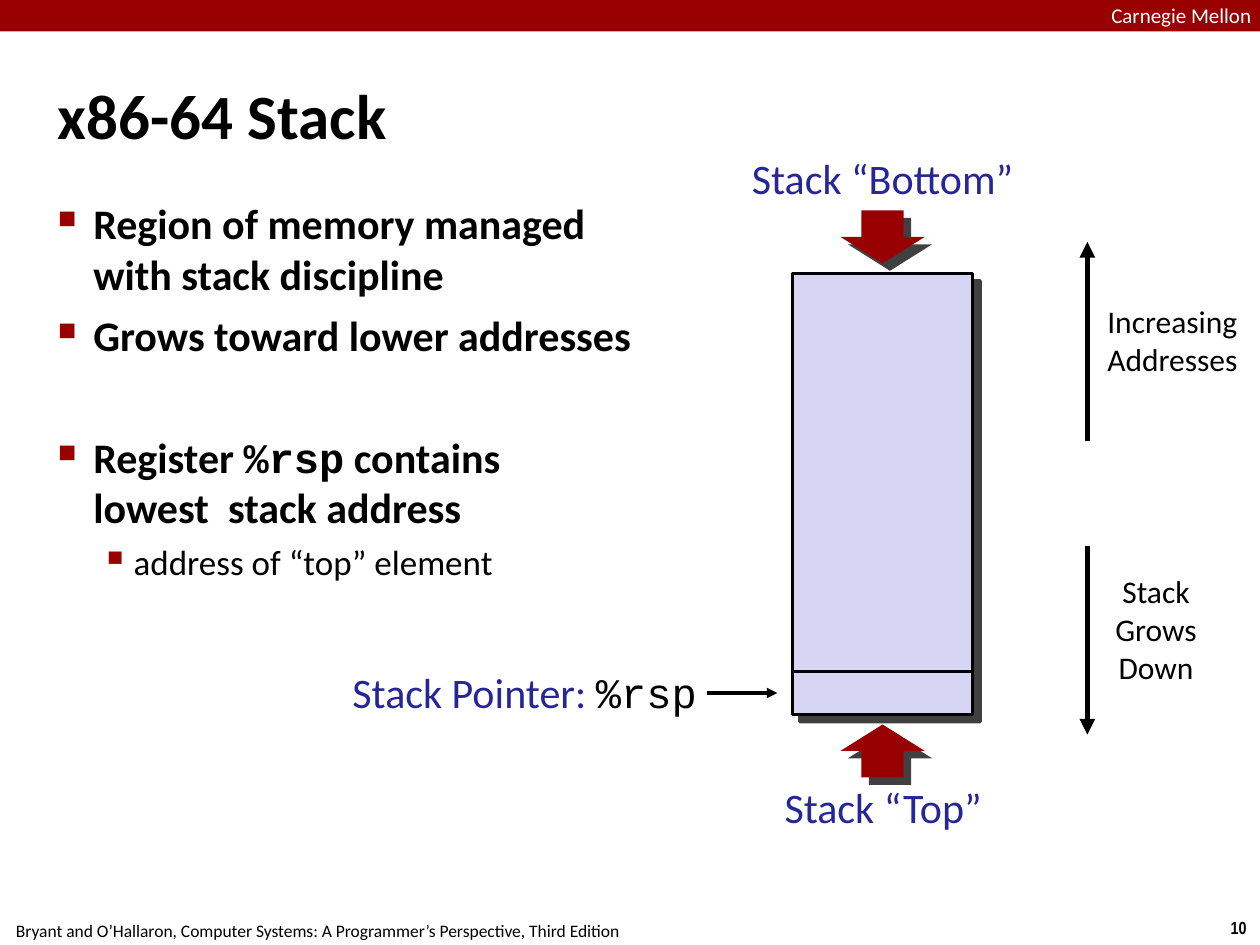
"""Build the x86-64 stack slide: bullets beside a diagram of the stack."""
from lxml import etree
from pptx import Presentation
from pptx import util as u
from pptx.dml import color as dml
from pptx.enum import shapes, text
from pptx.oxml import ns

COLORS = {"red": "990000", "arrow": "980002", "blue": "262699", "lilac": "D6D6F4",
          "black": "000000", "white": "FFFFFF"}
RGB = {name: dml.RGBColor.from_string(value) for name, value in COLORS.items()}
LEFT, CENTER, RIGHT = text.PP_ALIGN.LEFT, text.PP_ALIGN.CENTER, text.PP_ALIGN.RIGHT
MONO = "Courier New"
SHADOW = (f'<a:effectLst {ns.nsdecls("a")}><a:outerShdw dist="76200" dir="2700000" '
          f'algn="ctr" rotWithShape="0"><a:srgbClr val="{COLORS["black"]}">'
          '<a:alpha val="75000"/></a:srgbClr></a:outerShdw></a:effectLst>')

presentation = Presentation()
presentation.slide_width, presentation.slide_height = u.Inches(10), u.Inches(7.5)
slide = presentation.slides.add_slide(presentation.slide_layouts[6])


def add_text(place, paragraphs, size, align=LEFT, color="black", font="Calibri",
             bold=False, wrap=False, inset=0.04):
    """Add a text box; each paragraph is a list of runs (words, font, color)."""
    box = slide.shapes.add_textbox(*map(u.Inches, place))
    frame = box.text_frame
    frame.word_wrap = wrap
    frame.margin_left = frame.margin_right = u.Inches(inset)
    frame.margin_top = frame.margin_bottom = u.Inches(inset)
    for index, runs in enumerate(paragraphs):
        paragraph = frame.add_paragraph() if index else frame.paragraphs[0]
        paragraph.alignment = align
        for words, *style in runs:
            run_font, run_color = style or (font, color)
            for part, line in enumerate(words.split("\n")):
                if part:
                    paragraph.add_line_break()
                run = paragraph.add_run()
                run.text = line
                run.font.name, run.font.size, run.font.bold = run_font, u.Pt(size), bold
                run.font.color.rgb = RGB[run_color]
    return box


def add_block(kind, place, fill):
    """Add a preset shape without an outline."""
    shape = slide.shapes.add_shape(kind, *map(u.Inches, place))
    shape.shadow.inherit = False
    shape.fill.solid()
    shape.fill.fore_color.rgb = RGB[fill]
    shape.line.fill.background()
    return shape


add_text((9.66, 7.23, 0.34, 0.27), [[("10",)]], 10, CENTER, font="Arial Narrow",
         bold=True, inset=0.05)
add_text((-0.02, 7.25, 5.08, 0.27), [[(
    "Bryant and O’Hallaron, Computer Systems: A Programmer’s Perspective, Third Edition",)]],
    10, CENTER, inset=0.05)
add_block(shapes.MSO_SHAPE.RECTANGLE, (0, 0, 10, 0.25), "red")
add_text((8.82, 0.02, 1.44, 0.19), [[("Carnegie Mellon",)]], 12, color="white",
         wrap=True, inset=0)
title = add_text((0.42, 0.28, 9.17, 1.25), [[("x86-64 Stack",)]], 36, bold=True, wrap=True)
title.text_frame.vertical_anchor = text.MSO_ANCHOR.MIDDLE

body = add_text((0.42, 1.53, 4.88, 5.94), [
    [("Region of memory managed with stack discipline",)],
    [("Grows toward lower addresses",)],
    [("Register ",), ("%rsp", MONO, "black"), (" contains \nlowest  stack address",)],
    [("address of “top” element",)],
], 24, bold=True, wrap=True)
bullets = [(0, 0.28, 0.28, "■", 60), (6, 0.28, 0.28, "■", 60),
           (41, 0.28, 0.28, "■", 60), (5, 0.6, 0.26, "▪", 110)]
for paragraph, (before, margin, hang, mark, percent) in zip(body.text_frame.paragraphs, bullets):
    properties = paragraph._p.get_or_add_pPr()
    properties.set("marL", str(u.Inches(margin)))
    properties.set("indent", str(-u.Inches(hang)))
    bullet_color = etree.SubElement(properties, ns.qn("a:buClr"))
    etree.SubElement(bullet_color, ns.qn("a:srgbClr"), val=COLORS["red"])
    etree.SubElement(properties, ns.qn("a:buSzPct"), val=str(percent * 1000))
    etree.SubElement(properties, ns.qn("a:buChar"), char=mark)
    paragraph.space_before = u.Pt(before)
detail = body.text_frame.paragraphs[-1]
detail.level = 1
detail.runs[0].font.size, detail.runs[0].font.bold = u.Pt(20), False

stack = add_block(shapes.MSO_SHAPE.RECTANGLE, (6.29, 2.17, 1.43, 3.5), "lilac")
stack.line.color.rgb = RGB["black"]
stack.line.width = u.Pt(2)
bottom_arrow = add_block(shapes.MSO_SHAPE.DOWN_ARROW, (6.67, 1.67, 0.67, 0.42), "arrow")
top_arrow = add_block(shapes.MSO_SHAPE.UP_ARROW, (6.67, 5.75, 0.67, 0.42), "arrow")
for shape in (stack, bottom_arrow, top_arrow):
    effects = shape._element.spPr.find(ns.qn("a:effectLst"))
    effects.getparent().replace(effects, etree.fromstring(SHADOW))

for start_x, start_y, end_x, end_y, width, has_head in [
    (5.61, 5.5, 6.17, 5.5, 2, True),
    (8.63, 4.33, 8.63, 5.83, 3, True),
    (8.63, 3.5, 8.63, 1.92, 3, True),
    (6.29, 5.33, 7.72, 5.33, 2, False),
]:
    connector = slide.shapes.add_connector(
        shapes.MSO_CONNECTOR.STRAIGHT, *map(u.Inches, (start_x, start_y, end_x, end_y)))
    connector.line.color.rgb = RGB["black"]
    connector.line.width = u.Pt(width)
    if has_head:
        etree.SubElement(connector.line._get_or_add_ln(), ns.qn("a:tailEnd"), type="triangle")
    etree.SubElement(connector._element.spPr, ns.qn("a:effectLst"))

add_text((2.69, 5.25, 2.88, 0.5),
         [[("Stack Pointer: ",), ("%rsp", MONO, "black")]], 24, RIGHT, "blue")
add_text((5.89, 1.17, 2.23, 0.49), [[("Stack “Bottom”",)]], 24, CENTER, "blue")
add_text((6.16, 6.16, 1.7, 0.49), [[("Stack “Top”",)]], 24, CENTER, "blue")
increasing = add_text((8.74, 2.36, 1.13, 0.69), [[("Increasing",)], [("Addresses",)]], 18, CENTER)
grows = add_text((8.73, 4.5, 0.89, 1), [[("Stack Grows",)], [("Down",)]], 18, CENTER, wrap=True)
for label in (increasing, grows):
    label.fill.solid()
    label.fill.fore_color.rgb = RGB["white"]

presentation.save("out.pptx")
